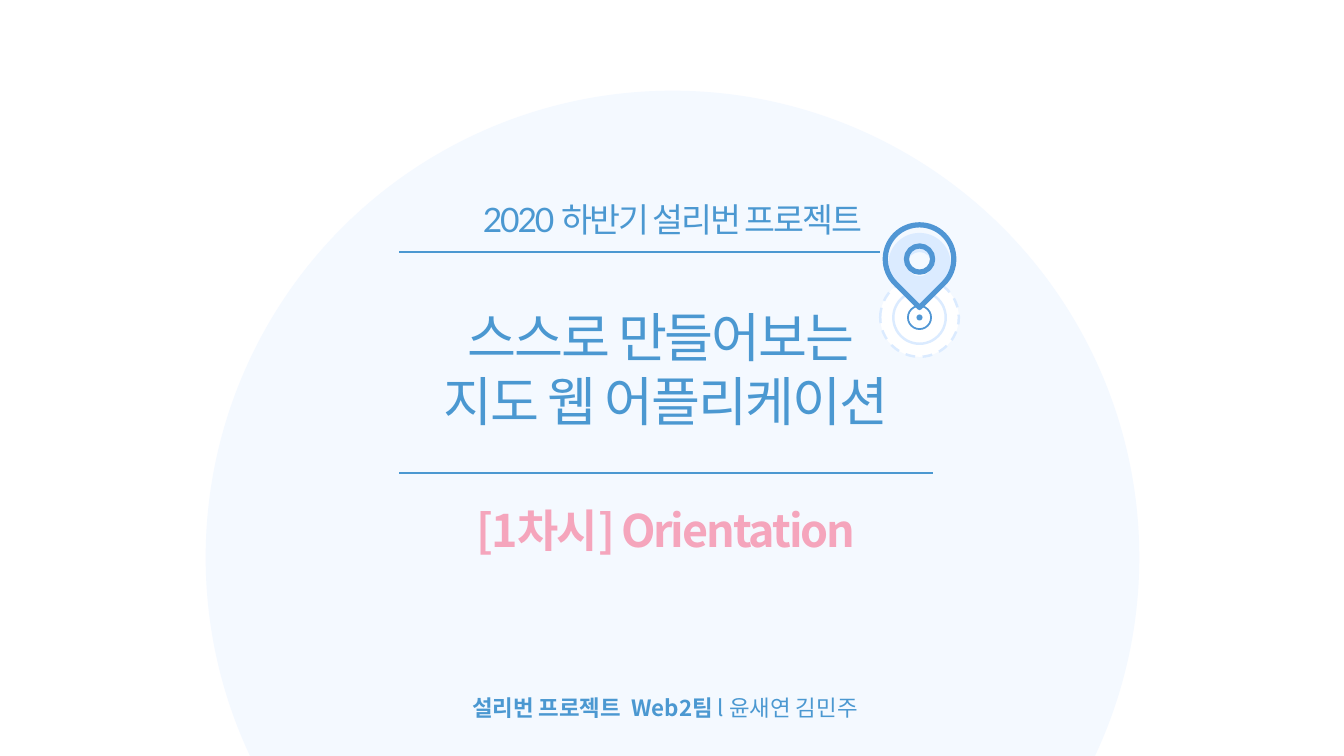
from lxml.etree import SubElement
from pptx import Presentation
from pptx.dml.color import RGBColor
from pptx.enum.dml import MSO_LINE as Dash
from pptx.enum.shapes import MSO_CONNECTOR as Link, MSO_SHAPE as Shape
from pptx.enum.text import MSO_ANCHOR as Anchor, MSO_AUTO_SIZE as Fit, PP_ALIGN as Align
from pptx.oxml.ns import qn
from pptx.util import Inches, Pt

BLUE = RGBColor(0x4B, 0x98, 0xD1)
DEEP = RGBColor(0x50, 0x96, 0xD4)
SKY = RGBColor(0xDB, 0xEB, 0xFF)
PALE = RGBColor(0xF4, 0xF9, 0xFF)
PINK = RGBColor(0xF5, 0xA5, 0xBC)
WHITE = RGBColor(0xFF, 0xFF, 0xFF)
HANGUL = "Noto Sans CJK KR"
BEND = 0.55
TURNS = [(1, 0), (0, 1), (-1, 0), (0, -1)]


def paint(shape, fill=None, line=None, width=0):
    shape.shadow.inherit = False
    if fill is None:
        shape.fill.background()
    else:
        shape.fill.solid()
        shape.fill.fore_color.rgb = fill
    if line is None:
        shape.line.fill.background()
    else:
        shape.line.color.rgb = line
        shape.line.width = Pt(width)


def add_disc(shapes, x, y, r, fill, line=None, width=0):
    disc = shapes.add_shape(Shape.OVAL, Inches(x - r), Inches(y - r),
                            Inches(2 * r), Inches(2 * r))
    paint(disc, fill, line, width)
    return disc


def add_rule(shapes, left, right, y):
    rule = shapes.add_connector(Link.STRAIGHT, Inches(left), Inches(y),
                                Inches(right), Inches(y))
    rule.line.color.rgb = BLUE
    rule.line.width = Pt(1.5)
    SubElement(rule._element.spPr, qn("a:effectLst"))


def write(box, lines, size, font, color, space=0):
    frame = box.text_frame
    frame.word_wrap = True
    frame.auto_size = Fit.NONE
    frame.vertical_anchor = Anchor.TOP
    for i, line in enumerate(lines):
        para = frame.paragraphs[0] if i == 0 else frame.add_paragraph()
        para.alignment = Align.CENTER
        para.font.size = Pt(size)
        para.font.name = font
        para.font.color.rgb = color
        for text, bold in line:
            run = para.add_run()
            run.text = text
            run.font.bold = bold
            props = run._r.get_or_add_rPr()
            SubElement(props, qn("a:ea"), typeface=HANGUL)
            if space:
                props.set("spc", str(int(space * 100)))


def add_text(shapes, left, top, width, height, *style):
    box = shapes.add_textbox(Inches(left), Inches(top), Inches(width), Inches(height))
    write(box, *style)


def add_title(shapes, left, top, width, height):
    title = shapes.title
    title.left, title.top = Inches(left), Inches(top)
    title.width, title.height = Inches(width), Inches(height)
    write(title, [[("스스로 만들어보는 ", False)], [(" 지도 웹 어플리케이션 ", False)]],
          38, "Roboto", BLUE, -1.5)


def arcs(x, y, r, turns):
    spots = []
    for (a, b), (c, d) in zip(turns, turns[1:]):
        spots += [(a + BEND * c, b + BEND * d), (c + BEND * a, d + BEND * b), (c, d)]
    return [(Inches(x + r * u), Inches(y + r * v)) for u, v in spots]


def curve(shape, skip):
    nodes = list(shape._element.iter(qn("a:lnTo")))[skip:]
    for i in range(0, len(nodes), 3):
        trio = nodes[i:i + 3]
        trio[0].tag = qn("a:cubicBezTo")
        for node in trio[1:]:
            trio[0].append(node[0])
            node.getparent().remove(node)


def add_drop(shapes, x, y, r, hole, **look):
    left, top, right = Inches(x), Inches(y - r), Inches(x + r)
    pen = shapes.build_freeform(left, top, scale=1.0)
    pen.add_line_segments([(right, top), (right, Inches(y))], close=False)
    pen.add_line_segments(arcs(x, y, r, TURNS), close=True)
    pen.move_to(left, Inches(y - hole))
    pen.add_line_segments(arcs(x, y, hole, TURNS[::-1] + TURNS[-1:]), close=True)
    drop = pen.convert_to_shape()
    curve(drop, 2)
    drop.rotation = 135
    paint(drop, **look)


def add_pin(shapes, x, y):
    target = shapes.add_group_shape().shapes
    halo = add_disc(target, x, y, 0.39, WHITE, SKY, 1.75)
    halo.line.dash_style = Dash.DASH
    add_disc(target, x, y, 0.26, WHITE, SKY, 1.75)
    add_disc(target, x, y, 0.115, WHITE, DEEP, 1.25)
    add_disc(target, x, y, 0.03, DEEP)
    marker = shapes.add_group_shape().shapes
    add_drop(marker, x, y - 0.53, 0.31, 0.12, fill=SKY)
    add_drop(marker, x, y - 0.58, 0.34, 0.13, line=DEEP, width=3.75)


def add_cover(deck):
    slide = deck.slides.add_slide(deck.slide_layouts[5])
    shapes = slide.shapes
    back = add_disc(shapes, 6.67, 5.53, 4.63, PALE)
    shapes._spTree.insert(2, back._element)
    add_title(shapes, 2.45, 2.97, 8.31, 1.38)
    add_text(shapes, 4.01, 6.84, 5.17, 0.37,
             [[("설리번 프로젝트  Web2팀 ", True), ("l 윤새연 김민주", False)]],
             16, HANGUL, BLUE)
    add_text(shapes, 2.99, 1.92, 7.36, 0.5,
             [[("2020 하반기 설리번 프로젝트", False)]], 24, "Lato", BLUE, -1.5)
    add_rule(shapes, 3.96, 8.73, 2.5)
    add_rule(shapes, 3.96, 9.25, 4.69)
    add_text(shapes, 2.45, 4.94, 8.31, 0.64,
             [[("[1차시] Orientation", True)]], 32, HANGUL, PINK, -1.5)
    add_pin(shapes, 9.12, 3.15)


def main():
    deck = Presentation()
    deck.slide_width, deck.slide_height = Inches(13.33), Inches(7.5)
    add_cover(deck)
    deck.save("out.pptx")


if __name__ == "__main__":
    main()
